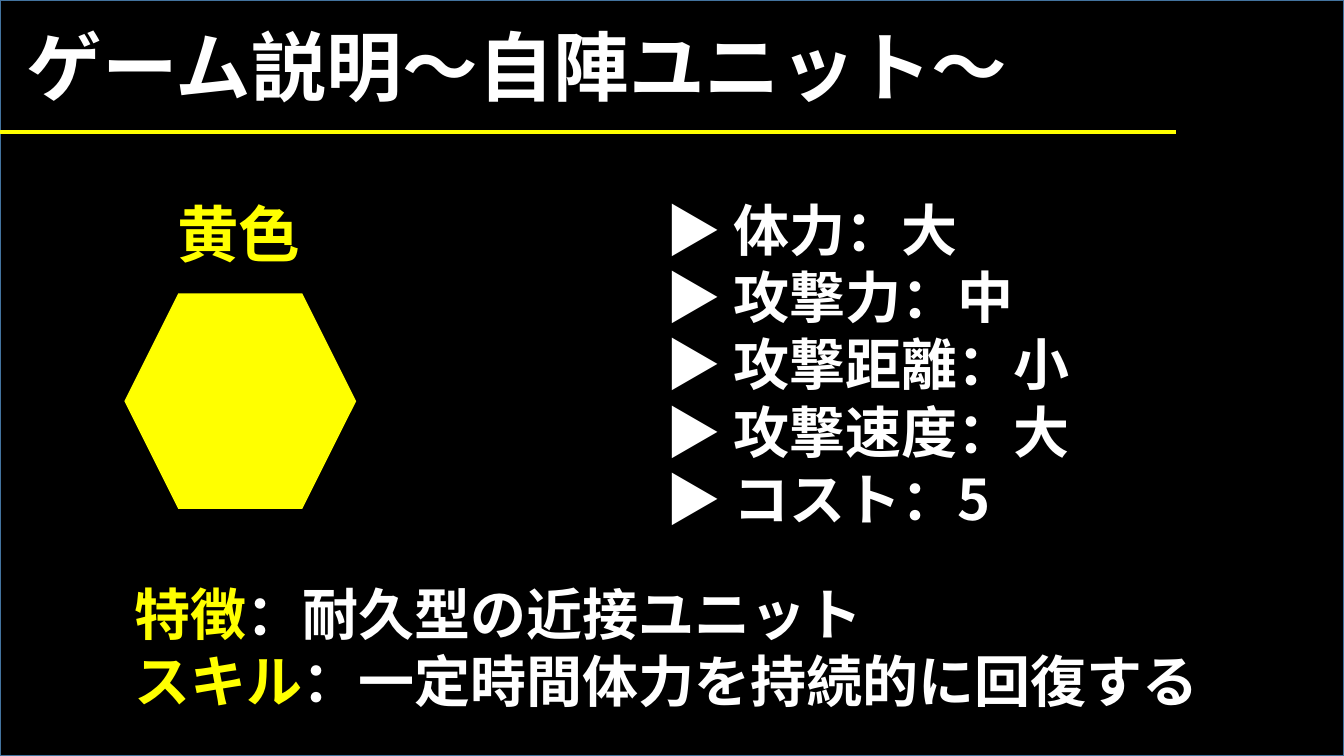
from dataclasses import dataclass

from lxml import etree
from pptx import Presentation
from pptx.dml.color import RGBColor
from pptx.enum.shapes import MSO_CONNECTOR, MSO_SHAPE
from pptx.enum.text import MSO_AUTO_SIZE
from pptx.oxml.ns import qn
from pptx.util import Inches, Pt

RECT, HEX = MSO_SHAPE.RECTANGLE, MSO_SHAPE.HEXAGON
LINE = MSO_CONNECTOR.STRAIGHT
GROW = MSO_AUTO_SIZE.SHAPE_TO_FIT_TEXT
COLS, ROWS = 80, 45


@dataclass(frozen=True)
class Theme:
    font: str = "Noto Sans CJK JP"
    back: str = "000000"
    edge: str = "43739E"
    text: str = "FFFFFF"
    mark: str = "FFFF00"
    title: int = 54
    label: int = 44
    body: int = 40


def color(code):
    return RGBColor.from_string(code)


class Page:
    def __init__(self, deck, theme):
        self.theme = theme
        self.wide = deck.slide_width / COLS
        self.high = deck.slide_height / ROWS
        self.shapes = deck.slides.add_slide(deck.slide_layouts[6]).shapes

    def place(self, *grid):
        """Turn columns and rows, taken in turn, into lengths."""
        return [round(n * (self.high if i % 2 else self.wide))
                for i, n in enumerate(grid)]

    def block(self, kind, grid, fill, edge=None):
        shape = self.shapes.add_shape(kind, *self.place(*grid))
        shape.shadow.inherit = False
        shape.fill.solid()
        shape.fill.fore_color.rgb = color(fill)
        if edge:
            shape.line.color.rgb = color(edge)
            shape.line.width = Pt(1)
        else:
            shape.line.fill.background()

    def rule(self, grid, tint, width):
        line = self.shapes.add_connector(LINE, *self.place(*grid))
        line.line.color.rgb = color(tint)
        line.line.width = Pt(width)
        etree.SubElement(line._element.spPr, qn("a:effectLst"))

    def text(self, grid, size, lines):
        """Write lines, each a list of (words, color) runs."""
        frame = self.shapes.add_textbox(*self.place(*grid)).text_frame
        frame.word_wrap = False
        frame.auto_size = GROW
        for i, line in enumerate(lines):
            para = frame.add_paragraph() if i else frame.paragraphs[0]
            for words, tint in line:
                run = para.add_run()
                run.text = words
                font = run.font
                font.size, font.bold = Pt(size), True
                font.color.rgb = color(tint)
                font.name = self.theme.font
                east = etree.SubElement(run._r.get_or_add_rPr(), qn("a:ea"))
                east.set("typeface", self.theme.font)


def main():
    deck = Presentation()
    deck.slide_width, deck.slide_height = Inches(13.33), Inches(7.5)
    look = Theme()
    page = Page(deck, look)
    stats = [("体力", "大"), ("攻撃力", "中"), ("攻撃距離", "小"),
             ("攻撃速度", "大"), ("コスト", "5")]
    notes = [("特徴", "耐久型の近接ユニット"),
             ("スキル", "一定時間体力を持続的に回復する")]

    page.block(RECT, (0, 0, COLS, ROWS), look.back, look.edge)
    page.text((1, 0.9, 60.54, 6.06), look.title,
              [[("ゲーム説明～自陣ユニット～", look.text)]])
    page.block(HEX, (7.4, 17.46, 13.8, 12.84), look.mark)
    page.text((9.96, 11.34, 8.64, 5.04), look.label, [[("黄色", look.mark)]])
    page.text((39, 11.34, 25.74, 20.82), look.body,
              [[(f"▶ {name}：{rank}", look.text)] for name, rank in stats])
    page.text((7.44, 34.2, 65.16, 8.7), look.body,
              [[(head, look.mark), (f"：{body}", look.text)]
               for head, body in notes])
    page.rule((0, 7.86, 70, 7.86), look.mark, 3)
    deck.save("out.pptx")


if __name__ == "__main__":
    main()
